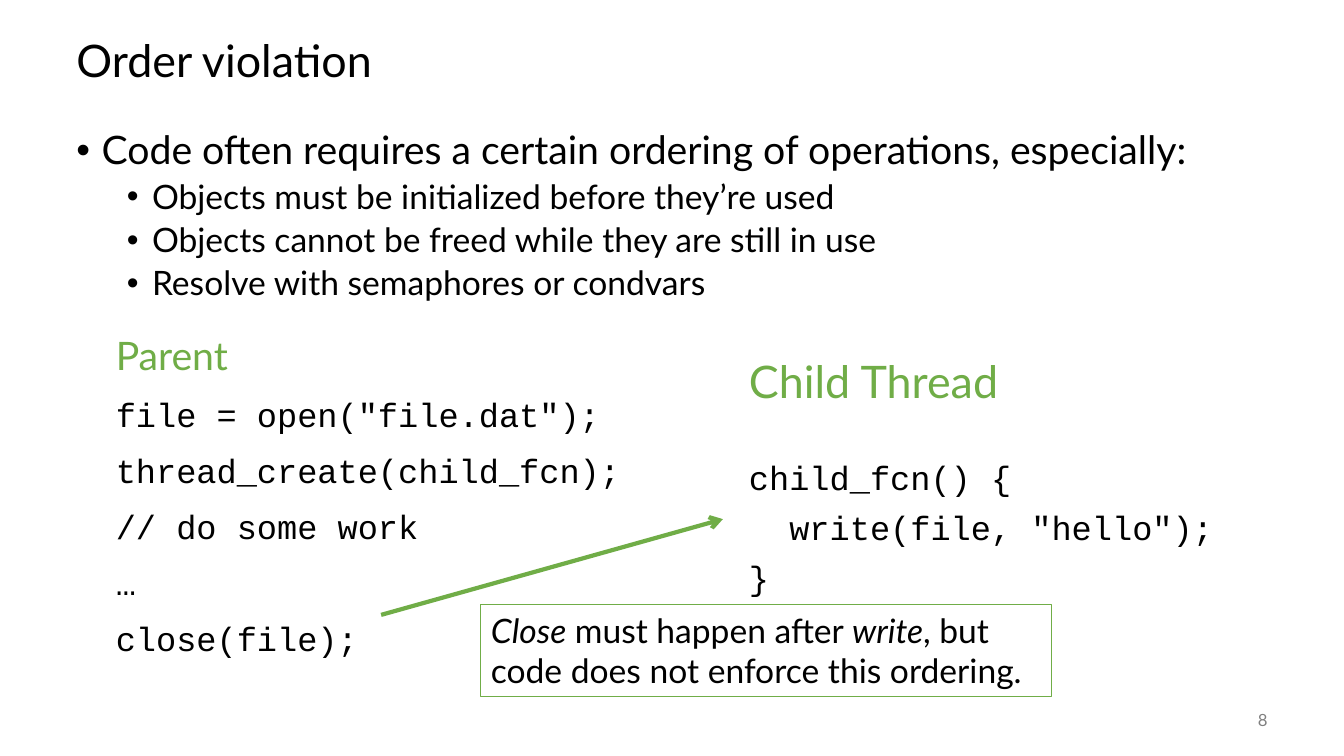
from lxml import etree
from pptx import Presentation
from pptx import util as u
from pptx.dml.color import RGBColor
from pptx.enum import shapes, text
from pptx.oxml.ns import qn

BLACK = RGBColor(0x00, 0x00, 0x00)
WHITE = RGBColor(0xFF, 0xFF, 0xFF)
GREEN = RGBColor(0x70, 0xAD, 0x47)
GRAY = RGBColor(0x80, 0x80, 0x80)
SANS, MONO = "Lato", "Courier New"


class Board:
    """Holds the slide and draws each kind of element on it."""

    def __init__(self, slide):
        self.slide = slide

    def style(self, para, size, face=SANS, color=BLACK):
        para.font.size = u.Pt(size)
        para.font.name = face
        para.font.color.rgb = color

    def box(self, place, middle=False):
        frame = self.slide.shapes.add_textbox(*map(u.Inches, place)).text_frame
        frame.word_wrap = True
        if middle:
            frame.vertical_anchor = text.MSO_ANCHOR.MIDDLE
        return frame

    def line(self, frame, words, size, face=SANS, color=BLACK, gap=None, indent=None):
        """Add a paragraph; an indent in inches makes it a bullet."""
        para = frame.paragraphs[0] if gap is None else frame.add_paragraph()
        para.text = words
        if indent is not None:
            para.level = 1 if indent > 0.5 else 0
            props = para._p.get_or_add_pPr()
            props.set("marL", str(u.Inches(indent)))
            props.set("indent", str(u.Inches(-0.25)))
            etree.SubElement(props, qn("a:buFont"), typeface="Arial")
            etree.SubElement(props, qn("a:buChar"), char="•")
        para.line_spacing = 0.9
        if gap is not None:
            para.space_before = u.Pt(gap)
        self.style(para, size, face, color)
        return para

    def code(self, place, head, size, rows, gap, first):
        """Add a green heading with lines of code below it."""
        frame = self.box(place)
        self.line(frame, head, size, color=GREEN)
        for num, row in enumerate(rows):
            self.line(frame, row, 24, MONO, gap=gap if num else first)

    def arrow(self, start, end):
        link = self.slide.shapes.add_connector(
            shapes.MSO_CONNECTOR.STRAIGHT, *map(u.Inches, start + end))
        link.line.color.rgb = GREEN
        link.line.width = u.Pt(3)
        etree.SubElement(link.line._get_or_add_ln(), qn("a:tailEnd"), type="arrow")
        etree.SubElement(link._element.spPr, qn("a:effectLst"))

    def note(self, place, parts):
        """Add a framed note; parts are (words, italic) pairs."""
        rect = self.slide.shapes.add_shape(
            shapes.MSO_SHAPE.RECTANGLE, *map(u.Inches, place))
        rect.shadow.inherit = False
        rect.fill.solid()
        rect.fill.fore_color.rgb = WHITE
        rect.line.color.rgb = GREEN
        rect.line.width = u.Pt(0.75)
        frame = rect.text_frame
        frame.word_wrap = True
        frame.vertical_anchor = text.MSO_ANCHOR.TOP
        para = frame.paragraphs[0]
        para.alignment = text.PP_ALIGN.LEFT
        for words, slant in parts:
            run = para.add_run()
            run.text = words
            run.font.italic = slant
        self.style(para, 24)


def main():
    deck = Presentation()
    deck.slide_width, deck.slide_height = u.Inches(13.33), u.Inches(7.5)
    board = Board(deck.slides.add_slide(deck.slide_layouts[6]))

    # Title
    board.line(board.box((0.66, 0.25, 12, 0.75), middle=True), "Order violation", 32)

    # Bullets
    body = board.box((0.66, 1.25, 12, 5.5))
    board.line(body, "Code often requires a certain ordering of operations, especially:",
               28, indent=0.25)
    for words in ("Objects must be initialized before they’re used",
                  "Objects cannot be freed while they are still in use",
                  "Resolve with semaphores or condvars"):
        board.line(body, words, 24, gap=5, indent=0.75)

    # Code of both threads
    board.code((1.05, 3.29, 5.84, 4.05), "Parent", 28,
               ('file = open("file.dat");', "thread_create(child_fcn);",
                "// do some work", "…", "close(file);"), gap=14, first=14)
    board.code((7.33, 3.52, 4.88, 2.9), "Child Thread", 32,
               ("child_fcn() {", '  write(file, "hello");', "}"), gap=10, first=38)

    # Ordering arrow and note
    board.arrow((3.78, 6.1), (7.17, 5.15))
    board.note((4.77, 6, 5.66, 0.91),
               (("Close", True), (" must happen after ", False), ("write", True),
                (", but code does not enforce this ordering.", False)))

    # Slide number
    page = board.line(board.box((11.67, 6.95, 1, 0.4), middle=True), "8", 12, color=GRAY)
    page.alignment = text.PP_ALIGN.RIGHT

    deck.save("out.pptx")


if __name__ == "__main__":
    main()
